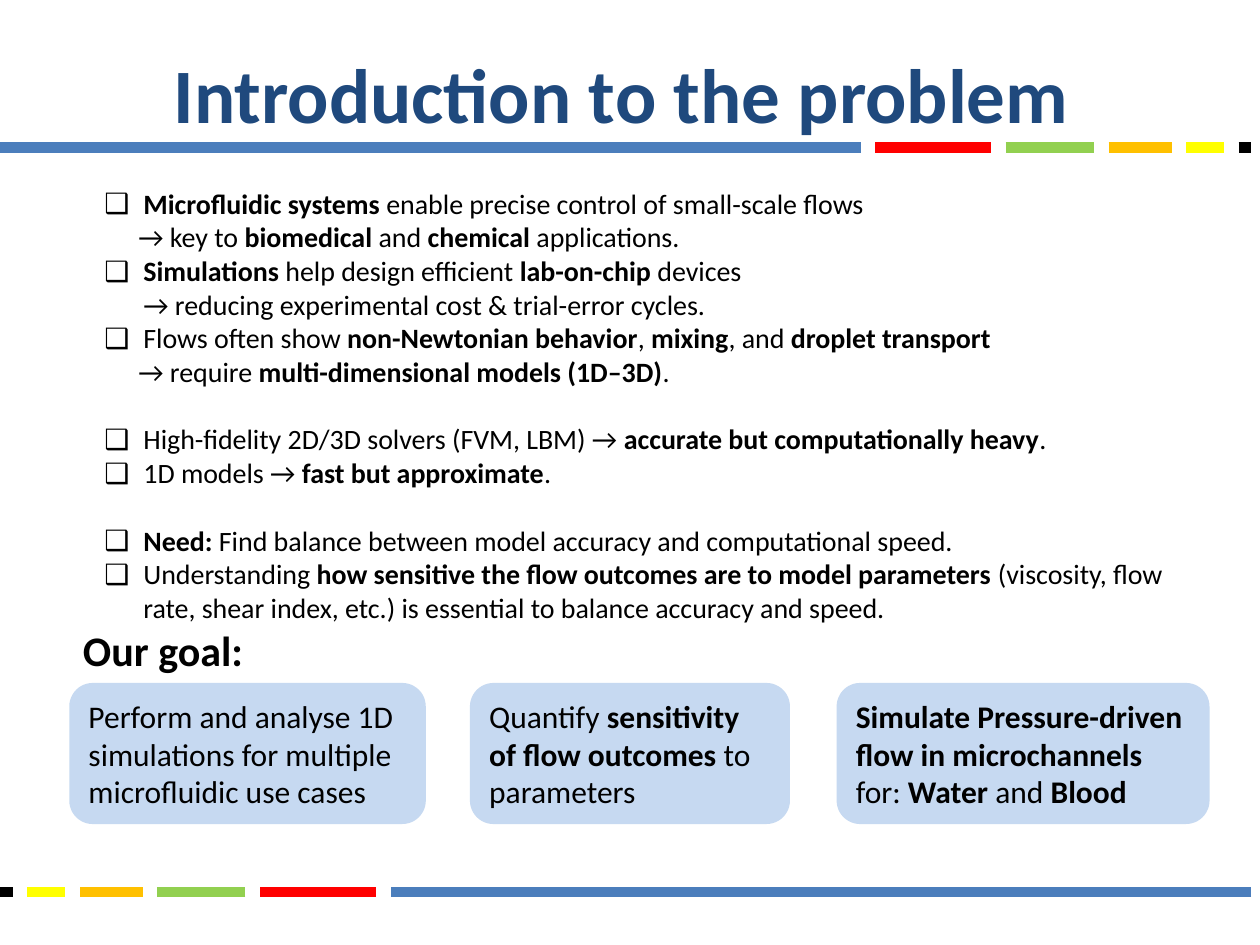
from lxml import etree
from pptx import Presentation
from pptx import util as u
from pptx.dml.color import RGBColor
from pptx.enum import shapes, text
from pptx.oxml.ns import qn

BLUE = RGBColor(0x4B, 0x7E, 0xBC)
RED = RGBColor(0xFF, 0x00, 0x00)
GREEN = RGBColor(0x92, 0xD0, 0x50)
ORANGE = RGBColor(0xFF, 0xC0, 0x00)
YELLOW = RGBColor(0xFF, 0xFF, 0x00)
BLACK = RGBColor(0x00, 0x00, 0x00)
NAVY = RGBColor(0x1F, 0x49, 0x7D)
PALE_BLUE = RGBColor(0xC6, 0xD9, 0xF1)

FONT = "Calibri"
HANG = 0.31
ARROW_INDENT = 0.27
BLANK_LINE = u.Pt(19.5)

STRIPES = [(6.83, BLUE), (0.92, RED), (0.7, GREEN),
           (0.5, ORANGE), (0.3, YELLOW), (0.1, BLACK)]

POINTS = [
    ("**Microfluidic systems** enable precise control of small-scale flows", True, HANG, False),
    ("→ key to **biomedical** and **chemical** applications.", False, ARROW_INDENT, False),
    ("**Simulations** help design efficient **lab-on-chip** devices\n"
     "→ reducing experimental cost & trial-error cycles.", True, HANG, False),
    ("Flows often show **non-Newtonian behavior**, **mixing**, and **droplet transport**",
     True, HANG, False),
    ("→ require **multi-dimensional models (1D–3D)**.", False, ARROW_INDENT, False),
    ("High-fidelity 2D/3D solvers (FVM, LBM) → **accurate but computationally heavy**.",
     True, HANG, True),
    ("1D models → **fast but approximate**.", True, HANG, False),
    ("**Need: **Find balance between model accuracy and computational speed.",
     True, HANG, True),
    ("Understanding **how sensitive the flow outcomes are to model parameters** "
     "(viscosity, flow rate, shear index, etc.) is essential to balance accuracy and speed.",
     True, HANG, False),
]

GOALS = [
    (0.55, 2.83, "Perform and analyse 1D simulations for multiple microfluidic use cases"),
    (3.73, 2.54, "Quantify **sensitivity of flow outcomes** to parameters"),
    (6.64, 2.96, "**Simulate Pressure-driven flow in microchannels** for: **Water** and **Blood**"),
]


def write_marked(paragraph, marked, size, color=BLACK):
    """Write text whose double-starred parts are bold and newlines are line breaks."""
    paragraph.alignment = text.PP_ALIGN.LEFT
    for index, part in enumerate(marked.split("**")):
        for row, piece in enumerate(part.split("\n")):
            if row:
                paragraph.add_line_break()
            if piece:
                run = paragraph.add_run()
                run.text = piece
                run.font.name = FONT
                run.font.size = u.Pt(size)
                run.font.bold = index % 2 == 1
                run.font.color.rgb = color


def indent_paragraph(paragraph, indent, bulleted):
    """Indent a paragraph and optionally hang a box bullet before it."""
    properties = paragraph._p.get_or_add_pPr()
    properties.set("marL", str(u.Inches(indent)))
    properties.set("indent", str(-u.Inches(indent) if bulleted else 0))
    if bulleted:
        etree.SubElement(properties, qn("a:buFont")).set("typeface", "Wingdings")
        properties[-1].set("typeface", "Segoe UI Symbol")
        etree.SubElement(properties, qn("a:buChar")).set("char", "❑")


def add_text_box(slide, left, top, width, height):
    """Add a wrapping text box and return its text frame."""
    box = slide.shapes.add_textbox(*map(u.Inches, (left, top, width, height)))
    box.text_frame.word_wrap = True
    return box.text_frame


def add_heading(slide, left, top, width, height, words, size, color):
    """Add a bold single-line heading."""
    frame = add_text_box(slide, left, top, width, height)
    write_marked(frame.paragraphs[0], f"**{words}**", size, color)


def add_stripe_band(slide, left, y, width, mirrored=False):
    """Draw the row of coloured stripes with equal gaps, optionally mirrored."""
    gap = (width - sum(length for length, _ in STRIPES)) / (len(STRIPES) - 1)
    offset = 0
    for length, color in STRIPES:
        ends = (offset, offset + length)
        start, end = [left + (width - x if mirrored else x) for x in ends]
        stripe = slide.shapes.add_connector(
            shapes.MSO_CONNECTOR.STRAIGHT,
            u.Inches(start), u.Inches(y), u.Inches(end), u.Inches(y))
        stripe.line.color.rgb = color
        stripe.line.width = u.Pt(6)
        etree.SubElement(stripe._element.spPr, qn("a:effectLst"))
        offset += length + gap


def add_points(slide, left, top, width, height):
    """Add the bulleted problem statement."""
    frame = add_text_box(slide, left, top, width, height)
    for index, (marked, bulleted, indent, new_group) in enumerate(POINTS):
        paragraph = frame.add_paragraph() if index else frame.paragraphs[0]
        if new_group:
            paragraph.space_before = BLANK_LINE
        indent_paragraph(paragraph, indent, bulleted)
        write_marked(paragraph, marked, 16)


def add_goal_card(slide, left, top, width, height, marked):
    """Add one rounded goal card."""
    card = slide.shapes.add_shape(
        shapes.MSO_SHAPE.ROUNDED_RECTANGLE,
        *map(u.Inches, (left, top, width, height)))
    card.shadow.inherit = False
    card.fill.solid()
    card.fill.fore_color.rgb = PALE_BLUE
    card.line.fill.background()
    frame = card.text_frame
    frame.word_wrap = True
    frame.vertical_anchor = text.MSO_ANCHOR.MIDDLE
    write_marked(frame.paragraphs[0], marked, 18)


def main():
    """Build and save the introduction slide."""
    presentation = Presentation()
    presentation.slide_width = u.Inches(10)
    presentation.slide_height = u.Inches(7.5)
    slide = presentation.slides.add_slide(presentation.slide_layouts[6])
    add_stripe_band(slide, 0, 7.08, 9.93, mirrored=True)
    add_stripe_band(slide, 0, 1.17, 9.93)
    add_points(slide, 0.73, 1.43, 8.75, 4.81)
    add_heading(slide, 1.28, 0.32, 7.66, 0.84, "Introduction to the problem", 44, NAVY)
    for left, width, marked in GOALS:
        add_goal_card(slide, left, 5.42, width, 1.12, marked)
    add_heading(slide, 0.56, 4.91, 1.68, 0.5, "Our goal:", 24, BLACK)
    presentation.save("out.pptx")


if __name__ == "__main__":
    main()
